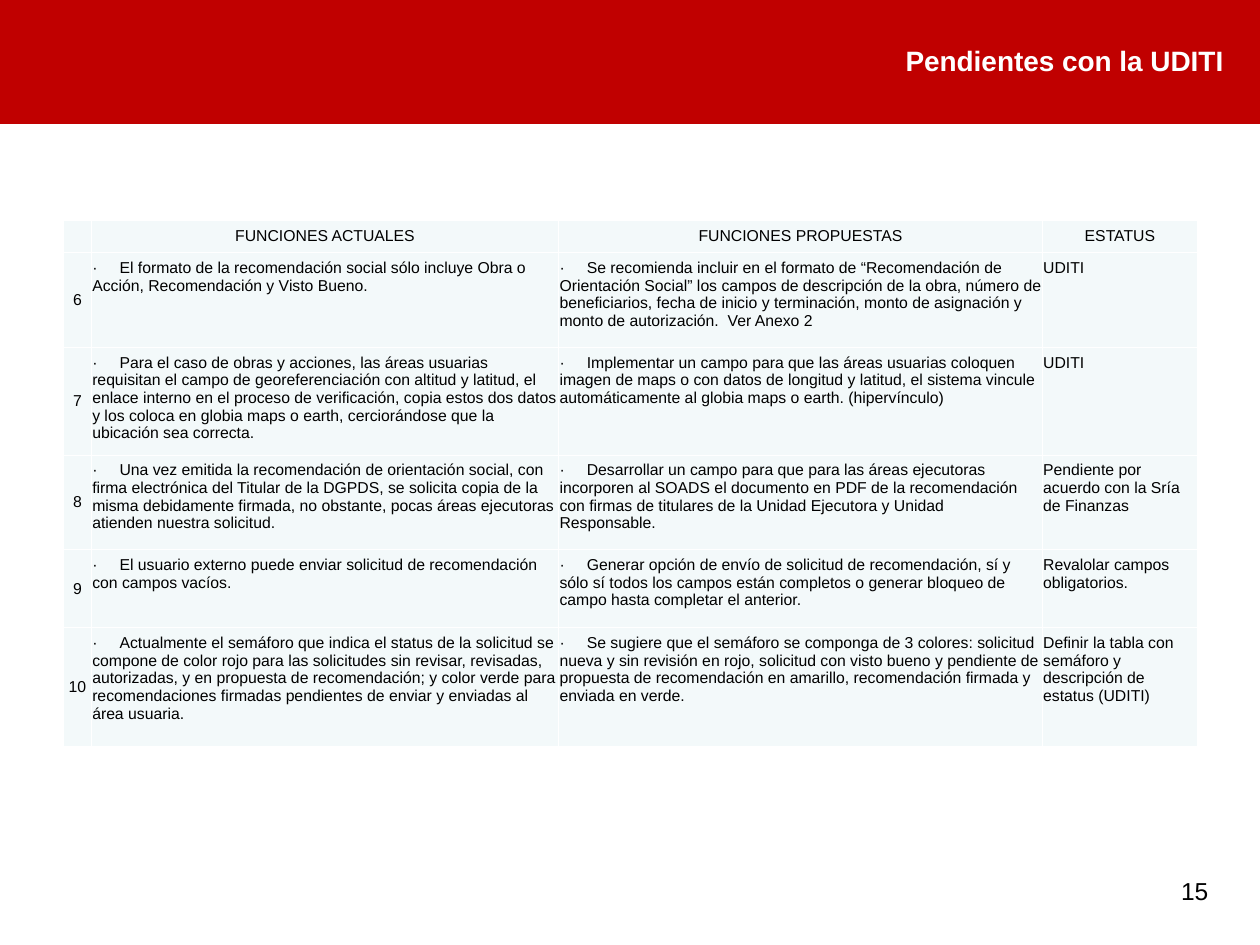
from lxml import etree
from pptx import Presentation
from pptx.dml.color import RGBColor
from pptx.enum.shapes import MSO_SHAPE
from pptx.enum.text import MSO_ANCHOR, PP_ALIGN
from pptx.oxml.ns import qn
from pptx.util import Cm, Pt

RECTANGLE = MSO_SHAPE.RECTANGLE
TOP, MIDDLE = MSO_ANCHOR.TOP, MSO_ANCHOR.MIDDLE
LEFT, CENTER, RIGHT = PP_ALIGN.LEFT, PP_ALIGN.CENTER, PP_ALIGN.RIGHT

RED = RGBColor(0xC0, 0x00, 0x00)
WHITE = RGBColor(0xFF, 0xFF, 0xFF)
BLACK = RGBColor(0x00, 0x00, 0x00)
PALE_BLUE = RGBColor(0xF3, 0xF9, 0xFA)

FONT = "Arial"
CELL_SIZE = 9
BORDER_WIDTH = Pt(0.45)
BULLET_GAP = Cm(0.55)

COLUMN_WIDTHS = [0.56, 9.42, 9.75, 3.13]
ROW_HEIGHTS = [0.48, 1.91, 1.93, 1.91, 1.57, 2.39]
HEADINGS = ["", "FUNCIONES ACTUALES", "FUNCIONES PROPUESTAS", "ESTATUS"]
PENDING = [
    ("6",
     "El formato de la recomendación social sólo incluye Obra o Acción, "
     "Recomendación y Visto Bueno.",
     "Se recomienda incluir en el formato de “Recomendación de Orientación "
     "Social” los campos de descripción de la obra, número de beneficiarios, "
     "fecha de inicio y terminación, monto de asignación y monto de "
     "autorización.  Ver Anexo 2",
     "UDITI"),
    ("7",
     "Para el caso de obras y acciones, las áreas usuarias requisitan el campo "
     "de georeferenciación con altitud y latitud, el enlace interno en el "
     "proceso de verificación, copia estos dos datos y los coloca en globia "
     "maps o earth, cerciorándose que la ubicación sea correcta.",
     "Implementar un campo para que las áreas usuarias coloquen imagen de maps "
     "o con datos de longitud y latitud, el sistema vincule automáticamente al "
     "globia maps o earth. (hipervínculo)",
     "UDITI"),
    ("8",
     "Una vez emitida la recomendación de orientación social, con firma "
     "electrónica del Titular de la DGPDS, se solicita copia de la misma "
     "debidamente firmada, no obstante, pocas áreas ejecutoras atienden "
     "nuestra solicitud.",
     "Desarrollar un campo para que para las áreas ejecutoras incorporen al "
     "SOADS el documento en PDF de la recomendación con firmas de titulares de "
     "la Unidad Ejecutora y Unidad Responsable.",
     "Pendiente por acuerdo con la Sría de Finanzas"),
    ("9",
     "El usuario externo puede enviar solicitud de recomendación con campos "
     "vacíos.",
     "Generar opción de envío de solicitud de recomendación, sí y sólo sí "
     "todos los campos están completos o generar bloqueo de campo hasta "
     "completar el anterior.",
     "Revalolar campos obligatorios."),
    ("10",
     "Actualmente el semáforo que indica el status de la solicitud se compone "
     "de color rojo para las solicitudes sin revisar, revisadas, autorizadas, "
     "y en propuesta de recomendación; y color verde para recomendaciones "
     "firmadas pendientes de enviar y enviadas al área usuaria.",
     "Se sugiere que el semáforo se componga de 3 colores: solicitud nueva y "
     "sin revisión en rojo, solicitud con visto bueno y pendiente de propuesta "
     "de recomendación en amarillo, recomendación firmada y enviada en verde.",
     "Definir la tabla con semáforo y descripción de estatus (UDITI)"),
]


def add_run(paragraph, text, size, color=BLACK, bold=False):
    run = paragraph.add_run()
    run.text = text
    run.font.name = FONT
    run.font.size = Pt(size)
    run.font.bold = bold
    run.font.color.rgb = color


def add_title_band(slide, left, top, width, height):
    band = slide.shapes.add_shape(RECTANGLE, left, top, width, height)
    band.shadow.inherit = False
    band.fill.solid()
    band.fill.fore_color.rgb = RED
    band.line.fill.background()
    frame = band.text_frame
    frame.word_wrap = True
    frame.vertical_anchor = MIDDLE
    frame.margin_right = Cm(0.73)
    title = frame.paragraphs[0]
    title.alignment = RIGHT
    add_run(title, "Pendientes con la UDITI", 16, WHITE, bold=True)


def add_page_number(slide, left, top, width, height):
    frame = slide.shapes.add_textbox(left, top, width, height).text_frame
    frame.word_wrap = True
    number = frame.paragraphs[0]
    number.alignment = RIGHT
    add_run(number, "15", 14)


def add_borders(cell):
    """Draw the four white cell edges; call before filling, as the schema wants."""
    properties = cell._tc.get_or_add_tcPr()
    for edge in ("a:lnL", "a:lnR", "a:lnT", "a:lnB"):
        line = etree.SubElement(properties, qn(edge), w=str(BORDER_WIDTH))
        fill = etree.SubElement(line, qn("a:solidFill"))
        etree.SubElement(fill, qn("a:srgbClr"), val=str(WHITE))


def add_tab_stop(paragraph, position):
    stops = etree.SubElement(paragraph._p.get_or_add_pPr(), qn("a:tabLst"))
    etree.SubElement(stops, qn("a:tab"), pos=str(position), algn="l")


def fill_cell(cell, text, alignment, anchor, dotted):
    add_borders(cell)
    cell.fill.solid()
    cell.fill.fore_color.rgb = PALE_BLUE
    cell.margin_left = cell.margin_right = Cm(0.02)
    cell.margin_top = cell.margin_bottom = Cm(0.13)
    cell.vertical_anchor = anchor
    paragraph = cell.text_frame.paragraphs[0]
    paragraph.alignment = alignment
    if dotted:
        add_tab_stop(paragraph, BULLET_GAP)
        add_run(paragraph, "·\t", CELL_SIZE)
    if text:
        add_run(paragraph, text, CELL_SIZE)
    else:
        etree.SubElement(paragraph._p, qn("a:endParaRPr"), sz=str(CELL_SIZE * 100))


def add_pending_table(slide, left, top):
    rows = [HEADINGS, *PENDING]
    table = slide.shapes.add_table(
        len(rows), len(HEADINGS), left, top,
        Cm(sum(COLUMN_WIDTHS)), Cm(sum(ROW_HEIGHTS))).table
    table.first_row = table.horz_banding = False
    for column, width in zip(table.columns, COLUMN_WIDTHS):
        column.width = Cm(width)
    for row, height in zip(table.rows, ROW_HEIGHTS):
        row.height = Cm(height)
    for r, texts in enumerate(rows):
        for c, text in enumerate(texts):
            is_heading, is_number = r == 0, c == 0
            fill_cell(
                table.cell(r, c), text,
                alignment=CENTER if is_heading or is_number else LEFT,
                anchor=MIDDLE if is_number and not is_heading else TOP,
                dotted=not is_heading and c in (1, 2))


def main():
    presentation = Presentation()
    presentation.slide_width, presentation.slide_height = Cm(25.4), Cm(19.05)
    slide = presentation.slides.add_slide(presentation.slide_layouts[6])
    add_title_band(slide, Cm(0), Cm(-0.05), presentation.slide_width, Cm(2.55))
    add_page_number(slide, Cm(18.69), Cm(17.53), Cm(5.92), Cm(1.02))
    add_pending_table(slide, Cm(1.28), Cm(4.45))
    presentation.save("out.pptx")


if __name__ == "__main__":
    main()
